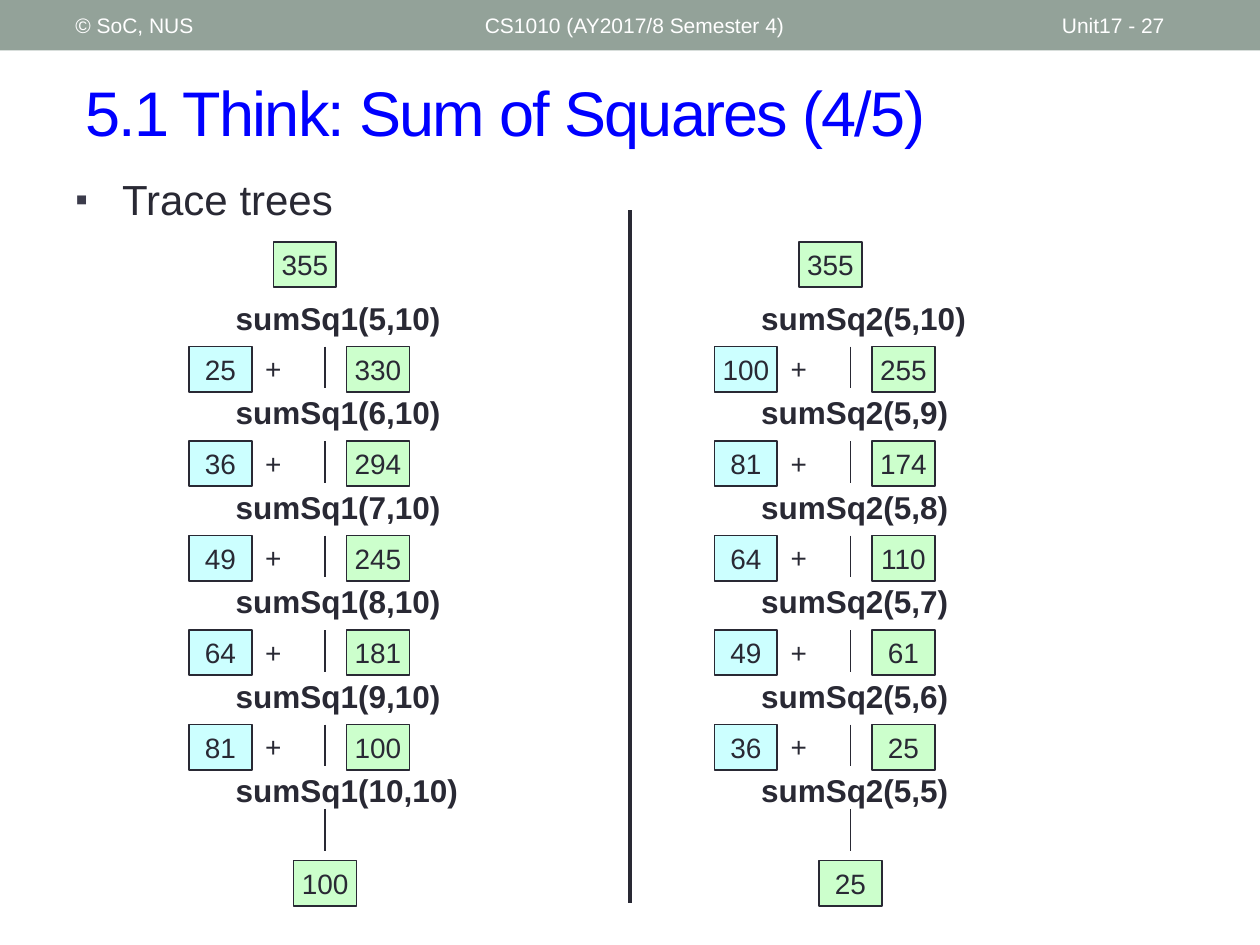
from lxml import etree
from pptx import Presentation
from pptx.dml.color import RGBColor
from pptx.enum.shapes import MSO_CONNECTOR, MSO_SHAPE
from pptx.enum.text import MSO_ANCHOR, MSO_AUTO_SIZE, PP_ALIGN
from pptx.oxml.ns import qn
from pptx.util import Inches, Pt

RECTANGLE = MSO_SHAPE.RECTANGLE
STRAIGHT = MSO_CONNECTOR.STRAIGHT
MIDDLE = MSO_ANCHOR.MIDDLE
TOP = MSO_ANCHOR.TOP
NO_AUTOFIT = MSO_AUTO_SIZE.NONE
LEFT = PP_ALIGN.LEFT
CENTER = PP_ALIGN.CENTER

FONT = "Arial"
INK = "292934"
WHITE = "FFFFFF"
HEADER_GREEN = "93A299"
TITLE_BLUE = "0000FF"
BULLET_GRAY = "3B3B4B"
RESULT_GREEN = "CCFFCC"
SQUARE_CYAN = "CCFFFF"

FIRST_CALL_TOP = 2.33
FIRST_SUM_TOP = 2.75
LEVEL_STEP = 0.75
BRANCH_LENGTH = 0.33

FIRST_TREE = (
    ["sumSq1(5,10)", "sumSq1(6,10)", "sumSq1(7,10)",
     "sumSq1(8,10)", "sumSq1(9,10)", "sumSq1(10,10)"],
    [25, 36, 49, 64, 81],
    [355, 330, 294, 245, 181, 100],
)
SECOND_TREE = (
    ["sumSq2(5,10)", "sumSq2(5,9)", "sumSq2(5,8)",
     "sumSq2(5,7)", "sumSq2(5,6)", "sumSq2(5,5)"],
    [100, 81, 64, 49, 36],
    [355, 255, 174, 110, 61, 25],
)


def color(value):
    return RGBColor.from_string(value)


def write_text(shape, text, size, fill=INK, bold=False, align=LEFT, inset=None, anchor=MIDDLE):
    frame = shape.text_frame
    frame.text = text
    frame.word_wrap = True
    frame.auto_size = NO_AUTOFIT
    frame.vertical_anchor = anchor
    if inset is not None:
        frame.margin_left = frame.margin_right = Inches(inset)
        frame.margin_top = frame.margin_bottom = Inches(inset)
    paragraph = frame.paragraphs[0]
    paragraph.alignment = align
    font = paragraph.runs[0].font
    font.name = FONT
    font.size = Pt(size)
    font.bold = bold
    font.color.rgb = color(fill)
    return paragraph


def add_text(shapes, left, top, width, height, text, size, **style):
    box = shapes.add_textbox(Inches(left), Inches(top), Inches(width), Inches(height))
    return write_text(box, text, size, **style)


def add_rectangle(shapes, left, top, width, height, fill):
    box = shapes.add_shape(RECTANGLE, Inches(left), Inches(top), Inches(width), Inches(height))
    box.shadow.inherit = False
    box.fill.solid()
    box.fill.fore_color.rgb = color(fill)
    box.line.fill.background()
    return box


def add_value(shapes, left, top, value, fill):
    box = add_rectangle(shapes, left, top, 0.5, 0.36, fill)
    box.line.color.rgb = color(INK)
    box.line.width = Pt(1)
    write_text(box, str(value), 16, align=CENTER, inset=0.04)


def add_vertical_line(shapes, x, top, length, width):
    line = shapes.add_connector(
        STRAIGHT, Inches(x), Inches(top), Inches(x), Inches(top + length))
    line.line.color.rgb = color(INK)
    line.line.width = Pt(width)
    etree.SubElement(line._element.spPr, qn("a:effectLst"))


def add_bullet_text(shapes):
    paragraph = add_text(shapes, 0.5, 1.33, 2.75, 0.59, "Trace trees", 24, anchor=TOP)
    properties = paragraph._p.get_or_add_pPr()
    properties.set("marL", str(Inches(0.37)))
    properties.set("indent", str(Inches(-0.37)))
    bullet_color = etree.SubElement(properties, qn("a:buClr"))
    etree.SubElement(bullet_color, qn("a:srgbClr"), val=BULLET_GRAY)
    etree.SubElement(properties, qn("a:buSzPct"), val="85000")
    etree.SubElement(properties, qn("a:buFont"), typeface=FONT)
    etree.SubElement(properties, qn("a:buChar"), char="▪")


def add_header(shapes):
    add_rectangle(shapes, 0, 0, 10, 0.4, HEADER_GREEN)
    for left, width, text in (
        (0.5, 3.17, "© SoC, NUS"),
        (3.75, 4.5, "CS1010 (AY2017/8 Semester 4)"),
        (8.33, 1.17, "Unit17 - 27"),
    ):
        add_text(shapes, left, 0.02, width, 0.36, text, 12, fill=WHITE)


def add_title(slide):
    title = slide.shapes.title
    title.left, title.top = Inches(0.58), Inches(0.42)
    title.width, title.height = Inches(9.17), Inches(0.92)
    paragraph = write_text(title, "5.1 Think: Sum of Squares (4/5)", 36, fill=TITLE_BLUE)
    paragraph.runs[0].font._element.set("spc", "-100")


def add_trace_tree(shapes, left, calls, squares, results):
    branch_x = left + 1.08
    add_value(shapes, left + 0.67, 1.92, results[0], RESULT_GREEN)
    for level, call in enumerate(calls):
        top = FIRST_CALL_TOP + level * LEVEL_STEP
        add_text(shapes, left + 0.33, top, 2.42, 0.38, call, 18, bold=True, inset=0.04)
    for level, (square, result) in enumerate(zip(squares, results[1:])):
        top = FIRST_SUM_TOP + level * LEVEL_STEP
        add_vertical_line(shapes, branch_x, top, BRANCH_LENGTH, 1)
        add_value(shapes, left, top, square, SQUARE_CYAN)
        add_text(shapes, left + 0.42, top, 0.5, 0.35, "+", 16, align=CENTER, inset=0.04)
        add_value(shapes, left + 1.25, top, result, RESULT_GREEN)
    add_vertical_line(shapes, branch_x, 6.42, BRANCH_LENGTH, 1)
    add_value(shapes, branch_x - 0.25, 6.83, results[-1], RESULT_GREEN)


def main():
    deck = Presentation()
    deck.slide_width, deck.slide_height = Inches(10), Inches(7.5)
    slide = deck.slides.add_slide(deck.slide_layouts[5])
    add_header(slide.shapes)
    add_title(slide)
    add_bullet_text(slide.shapes)
    add_trace_tree(slide.shapes, 1.5, *FIRST_TREE)
    add_trace_tree(slide.shapes.add_group_shape().shapes, 5.67, *SECOND_TREE)
    add_vertical_line(slide.shapes, 5, 1.67, 5.5, 2.5)
    deck.save("out.pptx")


if __name__ == "__main__":
    main()
